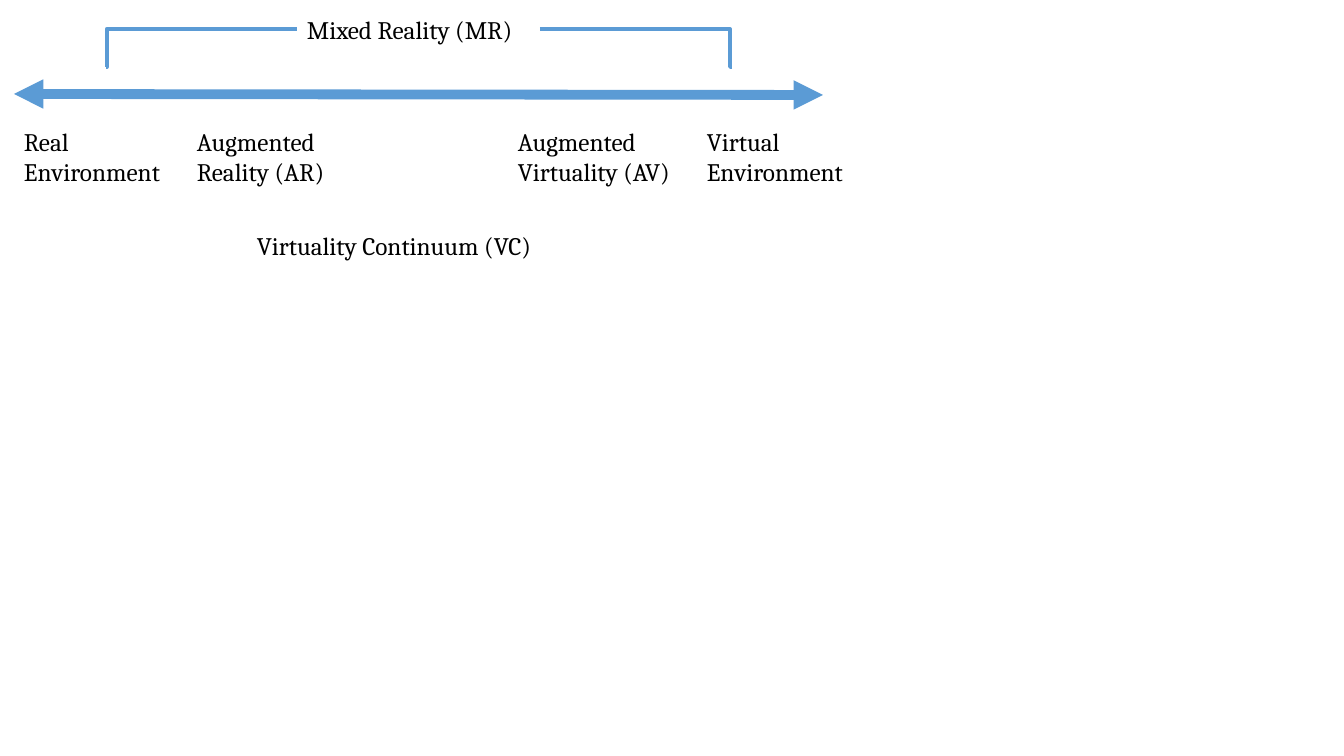
from lxml.etree import SubElement
from pptx import Presentation
from pptx.dml.color import RGBColor
from pptx.enum.shapes import MSO_CONNECTOR
from pptx.enum.text import MSO_AUTO_SIZE
from pptx.oxml.ns import qn
from pptx.util import Emu, Pt

SCALE = 914400 / 100.8
BLUE, BLACK = "5B9BD5", "000000"
FONT = {"name": "Cambria", "size": Pt(18)}
STAGE_TOP, STAGE_HEIGHT = 121, 71

STAGES = [
    ("Real Environment", 14, 173),
    ("Augmented Reality (AR)", 187, 188),
    ("Augmented Virtuality (AV)", 508, 188),
    ("Virtual Environment", 697, 173),
]
LABELS = [("Mixed Reality (MR)", 297, 9, 243, 40, False)]
LABELS += [(text, left, STAGE_TOP, width, STAGE_HEIGHT, True) for text, left, width in STAGES]
LABELS += [("Virtuality Continuum (VC)", 247, 225, 343, 40, True)]

AXIS = (14, 94, 823, 95)
BRACKETS = [((106, 67, 297, 29), 400), ((540, 29, 732, 67), 99000)]


def px(value):
    """Turn picture pixels into EMU."""
    return Emu(round(value * SCALE))


def color(value):
    """Turn a hex string into a colour."""
    return RGBColor.from_string(value)


def add_label(s, text, left, top, width, height, wrap):
    """Add one text label."""
    tf = s.shapes.add_textbox(*map(px, (left, top, width, height))).text_frame
    tf.word_wrap = wrap
    tf.auto_size = MSO_AUTO_SIZE.SHAPE_TO_FIT_TEXT
    r = tf.paragraphs[0].add_run()
    r.text = text
    for name, value in FONT.items():
        setattr(r.font, name, value)
    r.font.color.rgb = color(BLACK)


def add_line(s, kind, ends, weight):
    """Add a blue connector without a shadow."""
    line = s.shapes.add_connector(kind, *map(px, ends))
    line.line.color.rgb = color(BLUE)
    line.line.width = Pt(weight)
    SubElement(line._element.spPr, qn("a:effectLst"))
    return line


prs = Presentation()
prs.slide_width, prs.slide_height = px(1344), px(756)
s = prs.slides.add_slide(prs.slide_layouts[6])

axis = add_line(s, MSO_CONNECTOR.STRAIGHT, AXIS, 7)
for end in ("a:headEnd", "a:tailEnd"):
    SubElement(axis.line._get_or_add_ln(), qn(end), type="triangle")

for ends, bend in BRACKETS:
    bracket = add_line(s, MSO_CONNECTOR.ELBOW, ends, 2.75)
    guides = bracket._element.spPr.find(qn("a:prstGeom")).find(qn("a:avLst"))
    SubElement(guides, qn("a:gd"), name="adj1", fmla=f"val {bend}")

for label in LABELS:
    add_label(s, *label)

prs.save("out.pptx")
